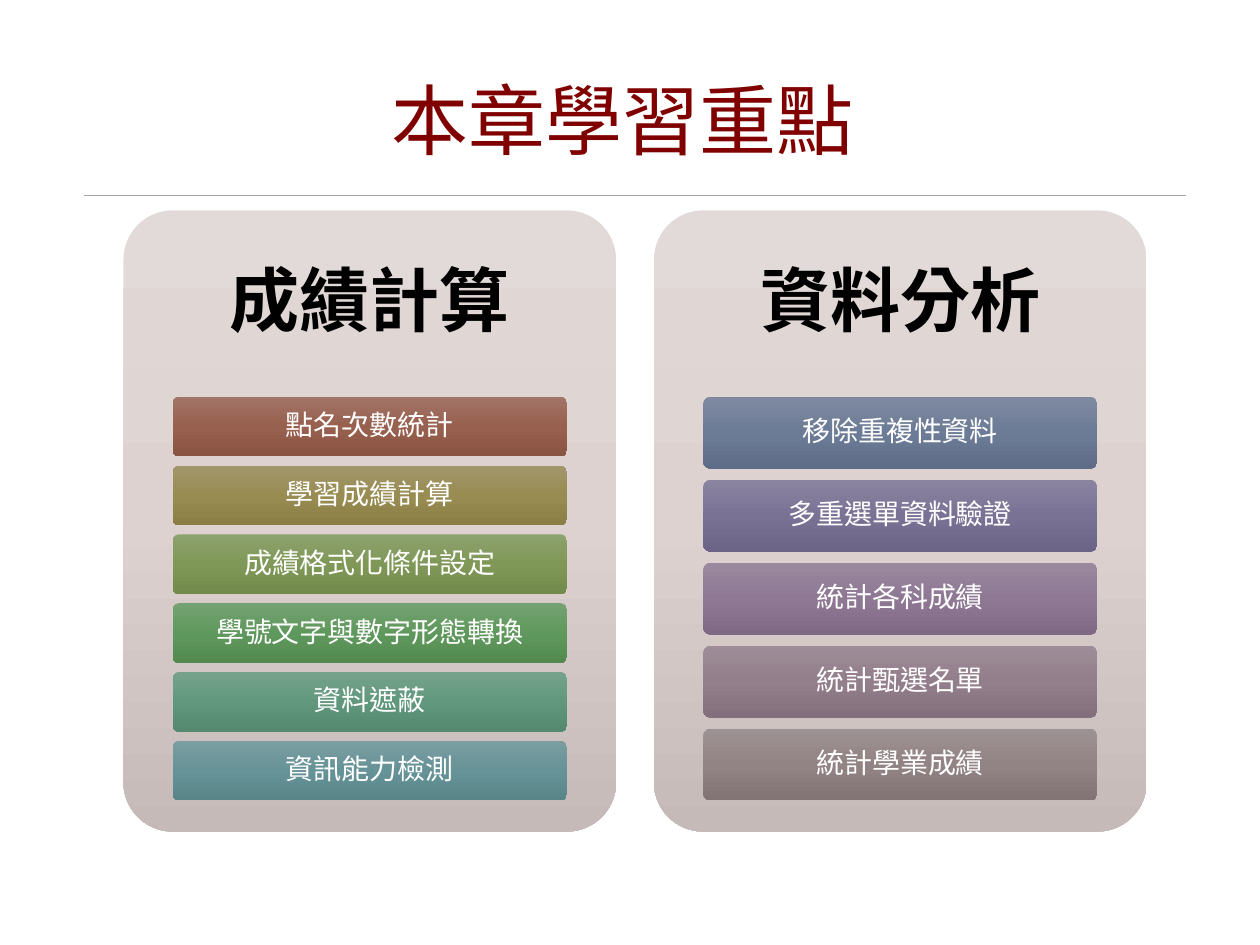
from copy import deepcopy
from dataclasses import dataclass

from lxml import etree
from pptx import Presentation
from pptx.dml.color import RGBColor
from pptx.enum.lang import MSO_LANGUAGE_ID
from pptx.enum.shapes import MSO_CONNECTOR, MSO_SHAPE
from pptx.enum.text import MSO_ANCHOR, PP_ALIGN
from pptx.oxml.ns import qn
from pptx.util import Inches, Pt

ROUNDED = MSO_SHAPE.ROUNDED_RECTANGLE
STRAIGHT = MSO_CONNECTOR.STRAIGHT
MIDDLE = MSO_ANCHOR.MIDDLE
CENTER = PP_ALIGN.CENTER
CHINESE = MSO_LANGUAGE_ID.TRADITIONAL_CHINESE


@dataclass(frozen=True)
class Theme:
    font: str = "Times New Roman"
    title_size: int = 44
    heading_size: int = 40
    topic_size: int = 16
    title_color: str = "800000"
    heading_color: str = "000000"
    topic_color: str = "FFFFFF"
    rule_color: str = "A6A6A6"
    panel_shades: tuple = ("E2DAD8", "DDD2D0", "C5BAB8")


THEME = Theme()
CELL = Inches(0.1)
COLUMNS, ROWS = 100, 75

PANEL_LEFT, PANEL_TOP, PANEL_WIDTH, PANEL_HEIGHT = 9.8, 16.7, 39.1, 49.3
PANEL_PITCH = 42.1
HEADING_SHARE, TOPICS_SHARE, TOPIC_WIDTH_SHARE = 0.3, 0.65, 0.8
GAP_RATIO = 2 / 13

SECTIONS = [
    ("成績計算", [
        ("點名次數統計", ("A27568", "98604E", "8A5442")),
        ("學習成績計算", ("A2976C", "988C52", "8A7E46")),
        ("成績格式化條件設定", ("8DA26F", "7F9857", "728A4B")),
        ("學號文字與數字形態轉換", ("75A273", "5F985C", "528A4F")),
        ("資料遮蔽", ("76A28C", "61987D", "548970")),
        ("資訊能力檢測", ("7B9DA1", "669397", "598488")),
    ]),
    ("資料分析", [
        ("移除重複性資料", ("7F8AA0", "6C7B96", "5E6C88")),
        ("多重選單資料驗證", ("8A849F", "7A7295", "6B6486")),
        ("統計各科成績", ("9A899E", "8E7894", "7F6985")),
        ("統計甄選名單", ("9E8D98", "937E8B", "836F7C")),
        ("統計學業成績", ("9D9293", "928384", "827475")),
    ]),
]


class SlideBuilder:
    def __init__(self, slide, theme):
        self.slide = slide
        self.theme = theme

    def box(self, *cells):
        return [round(cell * CELL) for cell in cells]

    def label(self, shape, text, size, color, bold=False, insets=(0.1, 0.05)):
        frame = shape.text_frame
        frame.text = text
        frame.word_wrap = True
        frame.vertical_anchor = MIDDLE
        frame.margin_left = frame.margin_right = Inches(insets[0])
        frame.margin_top = frame.margin_bottom = Inches(insets[1])
        paragraph = frame.paragraphs[0]
        paragraph.alignment = CENTER
        paragraph.line_spacing = 0.9
        font = paragraph.runs[0].font
        font.name = self.theme.font
        font.size = Pt(size)
        font.bold = bold
        font.color.rgb = RGBColor.from_string(color)
        font.language_id = CHINESE

    def title(self, text, *cells):
        title = self.slide.shapes.title
        title.left, title.top, title.width, title.height = self.box(*cells)
        self.label(title, text, self.theme.title_size, self.theme.title_color)

    def rule(self, left, right, row):
        rule = self.slide.shapes.add_connector(
            STRAIGHT, *self.box(left, row, right, row))
        rule.line.color.rgb = RGBColor.from_string(self.theme.rule_color)
        rule.line.width = Pt(0.5)
        etree.SubElement(rule._element.spPr, qn("a:effectLst"))

    def rounded(self, shades, *cells):
        block = self.slide.shapes.add_shape(ROUNDED, *self.box(*cells))
        block.adjustments[0] = 0.1
        block.shadow.inherit = False
        block.line.fill.background()
        block.fill.gradient()
        block.fill.gradient_angle = 270
        stop_list = block._element.spPr.find(".//" + qn("a:gsLst"))
        stop_list.insert(1, deepcopy(stop_list[0]))
        for stop, shade, position in zip(block.fill.gradient_stops, shades, (0, 0.5, 1)):
            stop.color.rgb = RGBColor.from_string(shade)
            stop.position = position
        return block

    def heading(self, text, *cells):
        heading = self.slide.shapes.add_textbox(*self.box(*cells))
        self.label(heading, text, self.theme.heading_size,
                   self.theme.heading_color, True, (0.17, 0.17))

    def topic(self, text, shades, *cells):
        topic = self.rounded(shades, *cells)
        self.label(topic, text, self.theme.topic_size,
                   self.theme.topic_color, insets=(0.04, 0.03))

    def section(self, heading, topics, left):
        self.rounded(self.theme.panel_shades, left, PANEL_TOP, PANEL_WIDTH, PANEL_HEIGHT)
        heading_height = PANEL_HEIGHT * HEADING_SHARE
        self.heading(heading, left, PANEL_TOP, PANEL_WIDTH, heading_height)
        count = len(topics)
        height = PANEL_HEIGHT * TOPICS_SHARE / (count + (count - 1) * GAP_RATIO)
        width = PANEL_WIDTH * TOPIC_WIDTH_SHARE
        topic_left = left + (PANEL_WIDTH - width) / 2
        for index, (text, shades) in enumerate(topics):
            top = PANEL_TOP + heading_height + index * height * (1 + GAP_RATIO)
            self.topic(text, shades, topic_left, top, width, height)


presentation = Presentation()
presentation.slide_width = COLUMNS * CELL
presentation.slide_height = ROWS * CELL
overview = SlideBuilder(
    presentation.slides.add_slide(presentation.slide_layouts[5]), THEME)
overview.rule(6.7, 94.1, 15.5)
overview.title("本章學習重點", 6.3, 4.1, 86.2, 11.5)
for column, (section_name, section_topics) in enumerate(SECTIONS):
    overview.section(section_name, section_topics, PANEL_LEFT + column * PANEL_PITCH)
presentation.save("out.pptx")
